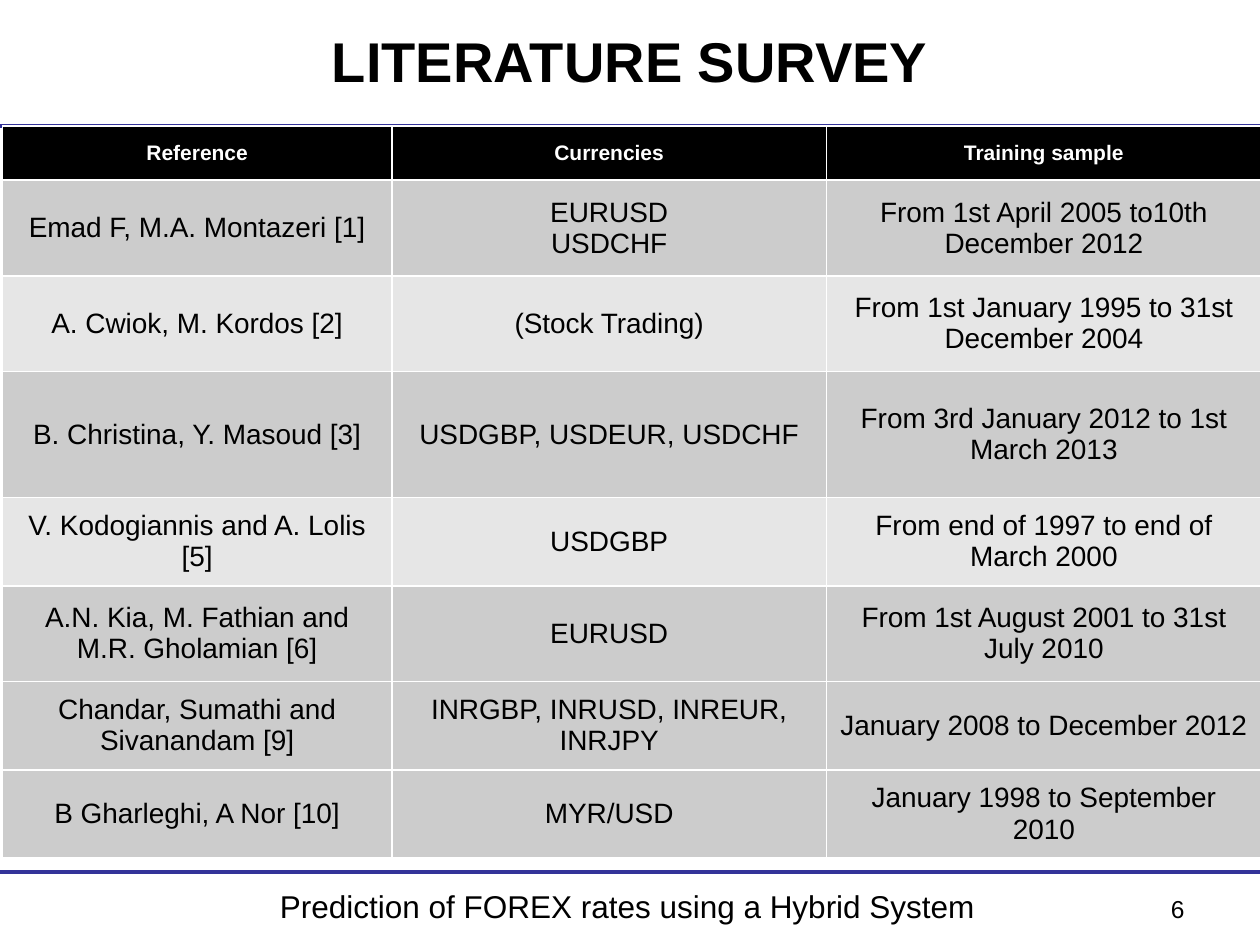
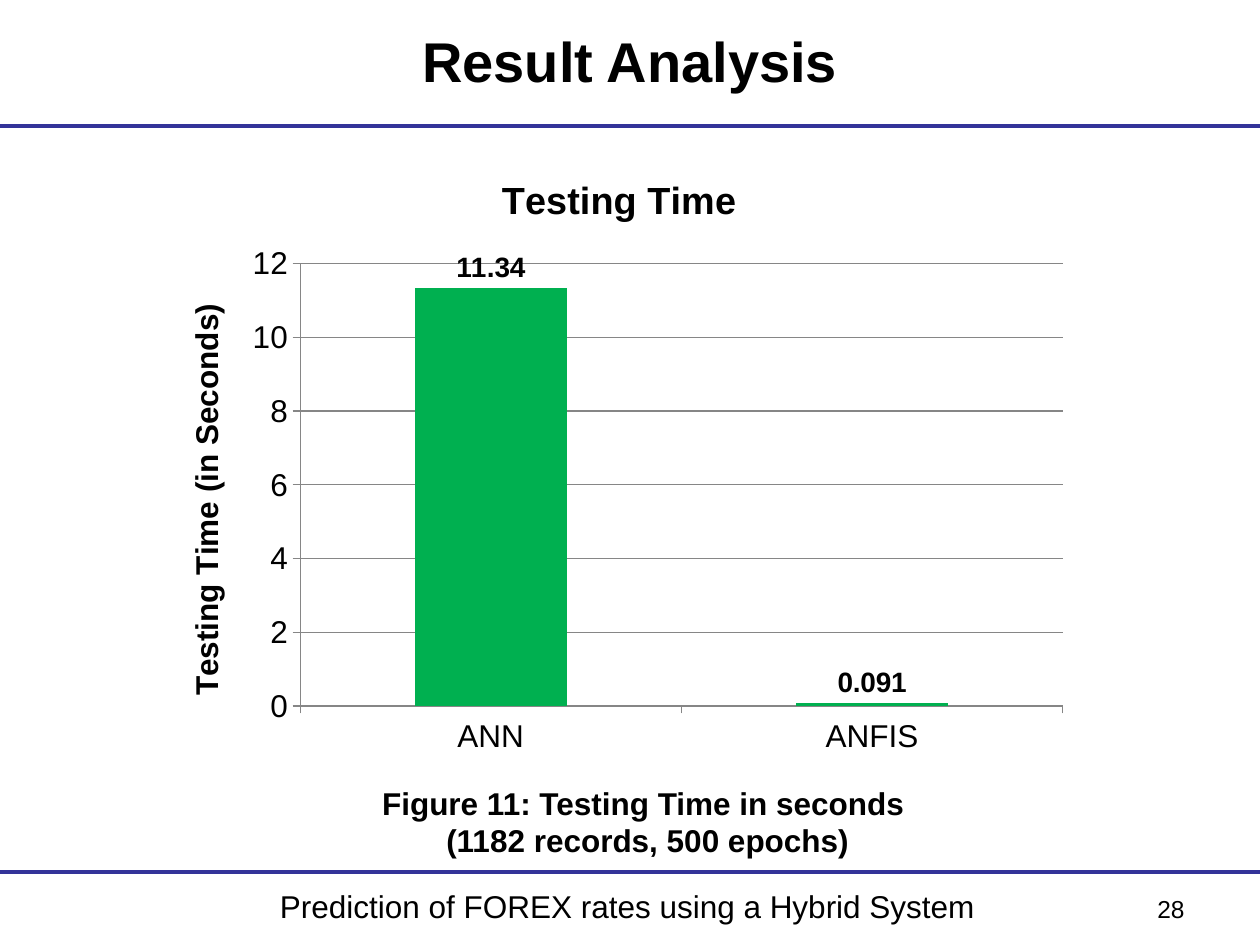
from dataclasses import dataclass

from lxml import etree
from pptx import Presentation
from pptx import util as u
from pptx.chart import data as chart_data
from pptx.dml.color import RGBColor
from pptx.enum import chart as chart_enum
from pptx.enum import shapes, text
from pptx.oxml import ns


@dataclass(frozen=True)
class Theme:
    font: str = "Arial"
    ink: str = "000000"
    paper: str = "FFFFFF"
    rule: str = "333399"
    row_dark: str = "CCCCCC"
    row_light: str = "E6E6E6"
    bar: str = "00B050"
    axis: str = "868686"
    title: float = 32
    chart_title: float = 21.6
    body: float = 18
    cell: float = 16
    number: float = 14
    header: float = 12


THEME = Theme()
FOOTER = "Prediction of FOREX rates using a Hybrid System"
TITLE_ONLY = 5


def style_font(font, size, color=THEME.ink, bold=False):
    font.name = THEME.font
    font.size = u.Pt(size)
    font.bold = bold
    font.color.rgb = RGBColor.from_string(color)


def write(frame, content, *, size, color=THEME.ink, bold=False,
          align=text.PP_ALIGN.CENTER):
    """Fill a text frame, one paragraph for each line of content."""
    frame.word_wrap = True
    frame.text = content
    for paragraph in frame.paragraphs:
        paragraph.alignment = align
        for run in paragraph.runs:
            style_font(run.font, size, color, bold)


class Deck:
    def __init__(self, theme):
        self.theme = theme
        self.presentation = Presentation()
        self.presentation.slide_width = u.Inches(10)
        self.presentation.slide_height = u.Inches(7.5)
        self.slide = None

    def start_slide(self, title, number):
        layout = self.presentation.slide_layouts[TITLE_ONLY]
        self.slide = self.presentation.slides.add_slide(layout)
        # Title
        shape = self.slide.shapes.title
        shape.left, shape.top = u.Inches(0.5), u.Inches(0.13)
        shape.width, shape.height = u.Inches(9), u.Inches(0.7)
        write(shape.text_frame, title, size=self.theme.title, bold=True)
        shape.text_frame.auto_size = text.MSO_AUTO_SIZE.NONE
        shape.text_frame.vertical_anchor = text.MSO_ANCHOR.MIDDLE
        # Rules and footer
        for top in (1, 6.92):
            self.rule(top)
        self.text_box(FOOTER, 1.3, 6.99, 7.36, 0.45, size=self.theme.body)
        self.text_box(str(number), 7.17, 7.05, 2.33, 0.4,
                      size=self.theme.number, align=text.PP_ALIGN.RIGHT)

    def rule(self, top):
        line = self.slide.shapes.add_connector(
            shapes.MSO_CONNECTOR.STRAIGHT,
            u.Inches(0), u.Inches(top), u.Inches(10), u.Inches(top))
        line.line.color.rgb = RGBColor.from_string(self.theme.rule)
        line.line.width = u.Pt(2.25)
        properties = line._element.find(ns.qn("p:spPr"))
        etree.SubElement(properties, ns.qn("a:effectLst"))

    def text_box(self, content, left, top, width, height, **text_format):
        box = self.slide.shapes.add_textbox(
            u.Inches(left), u.Inches(top), u.Inches(width), u.Inches(height))
        write(box.text_frame, content, **text_format)

    def table(self, rows, left, top, widths, heights, light_rows):
        # The default table style supplies the white cell borders
        table = self.slide.shapes.add_table(
            len(rows), len(widths), u.Inches(left), u.Inches(top),
            u.Inches(sum(widths)), u.Inches(sum(heights))).table
        for column, width in zip(table.columns, widths):
            column.width = u.Inches(width)
        for index, (row, height, values) in enumerate(
                zip(table.rows, heights, rows)):
            row.height = u.Inches(height)
            if index == 0:
                fill = self.theme.ink
                text_format = dict(size=self.theme.header, bold=True,
                                   color=self.theme.paper)
            else:
                fill = (self.theme.row_light if index in light_rows
                        else self.theme.row_dark)
                text_format = dict(size=self.theme.cell)
            for cell, value in zip(row.cells, values):
                cell.fill.solid()
                cell.fill.fore_color.rgb = RGBColor.from_string(fill)
                cell.vertical_anchor = text.MSO_ANCHOR.MIDDLE
                write(cell.text_frame, value, **text_format)

    def column_chart(self, title, axis_title, values, left, top, width, height):
        data = chart_data.CategoryChartData()
        data.categories = list(values)
        data.add_series("Series 1", list(values.values()))
        chart = self.slide.shapes.add_chart(
            chart_enum.XL_CHART_TYPE.COLUMN_CLUSTERED, u.Inches(left),
            u.Inches(top), u.Inches(width), u.Inches(height), data).chart
        style_font(chart.font, self.theme.body)
        chart.has_legend = False
        chart.has_title = True
        write(chart.chart_title.text_frame, title,
              size=self.theme.chart_title, bold=True)
        # Axes
        axis_color = RGBColor.from_string(self.theme.axis)
        value_axis = chart.value_axis
        value_axis.minimum_scale, value_axis.maximum_scale = 0, 12
        value_axis.major_unit = 2
        value_axis.has_major_gridlines = True
        write(value_axis.axis_title.text_frame, axis_title,
              size=self.theme.body, bold=True)
        for axis in (chart.category_axis, value_axis):
            axis.major_tick_mark = chart_enum.XL_TICK_MARK.OUTSIDE
            axis.format.line.color.rgb = axis_color
        value_axis.major_gridlines.format.line.color.rgb = axis_color
        # Bars and their labels
        plot = chart.plots[0]
        plot.gap_width = 150
        plot.vary_by_categories = False
        bars = plot.series[0]
        bars.format.fill.solid()
        bars.format.fill.fore_color.rgb = RGBColor.from_string(self.theme.bar)
        labels = bars.data_labels
        labels.show_value = True
        labels.position = chart_enum.XL_LABEL_POSITION.OUTSIDE_END
        style_font(labels.font, self.theme.cell, bold=True)


SURVEY = [
    ("Reference", "Currencies", "Training sample"),
    ("Emad F, M.A. Montazeri [1]", "EURUSD\nUSDCHF",
     "From 1st April 2005 to10th December 2012"),
    ("A. Cwiok, M. Kordos [2]", "(Stock Trading)",
     "From 1st January 1995 to 31st December 2004"),
    ("B. Christina, Y. Masoud [3]", "USDGBP, USDEUR, USDCHF",
     "From 3rd January 2012 to 1st March 2013"),
    ("V. Kodogiannis and A. Lolis [5]", "USDGBP",
     "From end of 1997 to end of March 2000"),
    ("A.N. Kia, M. Fathian and M.R. Gholamian [6]", "EURUSD",
     "From 1st August 2001 to 31st July 2010"),
    ("Chandar, Sumathi and Sivanandam [9]", "INRGBP, INRUSD, INREUR, INRJPY",
     "January 2008 to December 2012"),
    ("B Gharleghi, A Nor [10]", "MYR/USD", "January 1998 to September 2010"),
]


def main():
    deck = Deck(THEME)

    # Literature survey
    deck.start_slide("LITERATURE SURVEY", 6)
    deck.table(SURVEY, 0.02, 1, widths=(3.09, 3.45, 3.45),
               heights=(0.43, 0.76, 0.76, 1, 0.7, 0.76, 0.7, 0.7),
               light_rows=(2, 4))

    # Testing time
    deck.start_slide("Result Analysis", 28)
    deck.column_chart("Testing Time", "Testing Time (in Seconds)",
                      {"ANN": 11.34, "ANFIS": 0.091}, 1.25, 1.19, 7.33, 4.89)
    deck.text_box("Figure 11: Testing Time in seconds \n(1182 records, 500 epochs)",
                  2.62, 6.17, 5.04, 0.71, size=THEME.body, bold=True)

    deck.presentation.save("out.pptx")


if __name__ == "__main__":
    main()
